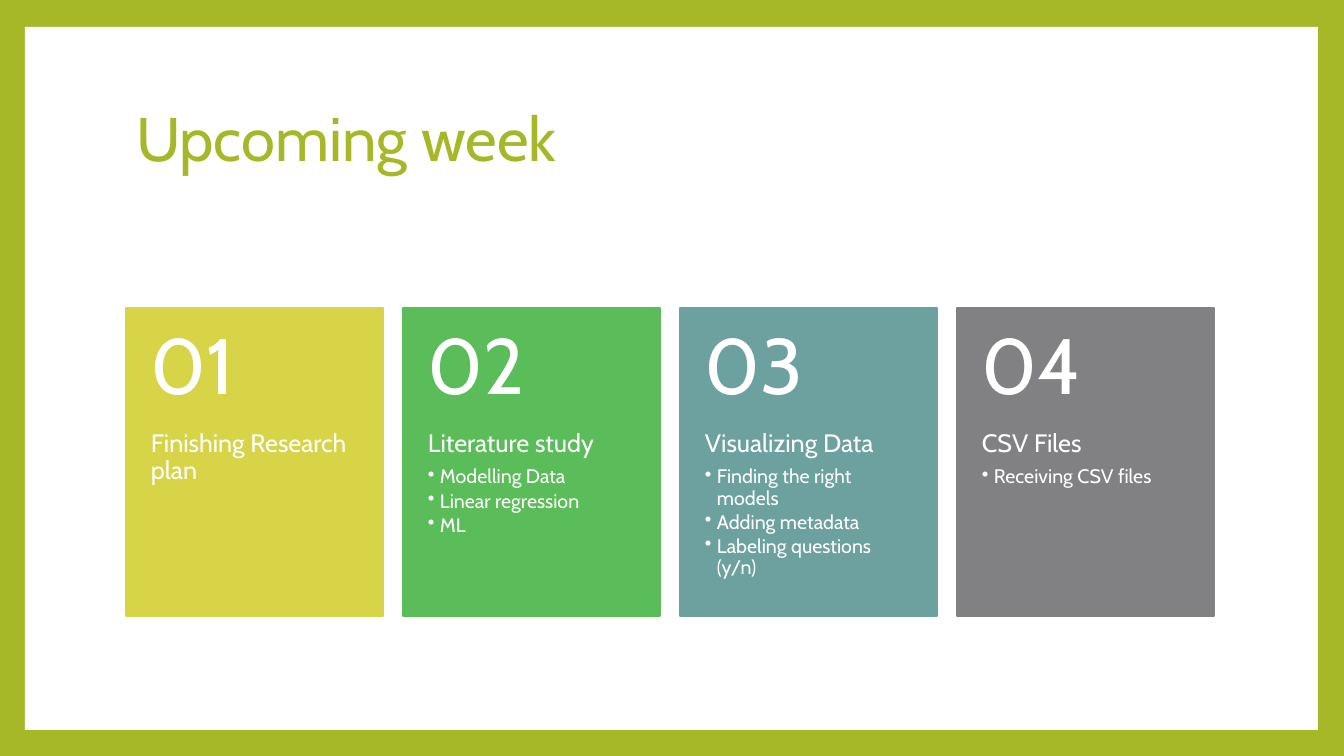
import dataclasses

import lxml.etree
import pptx
import pptx.dml.color
import pptx.enum.shapes
import pptx.enum.text
import pptx.oxml.ns
import pptx.util

EMU_PER_PIXEL = 914400 / 100.8
FONT = "Cabin"
COLORS = {
    "lime": "A6B727",
    "white": "FFFFFF",
    "yellow": "D7D447",
    "green": "5ABD59",
    "teal": "6CA1A0",
    "gray": "818183",
}

# Card grid, in pixels
CARD_LEFT, CARD_TOP = 126, 308
CARD_WIDTH, CARD_PITCH = 257, 277
NUMBER_HEIGHT, BODY_HEIGHT = 123, 185
BULLET_INDENT = 12


@dataclasses.dataclass(frozen=True)
class Card:
    color: str
    heading: str
    bullets: tuple[str, ...] = ()


CARDS = [
    Card("yellow", "Finishing Research plan"),
    Card("green", "Literature study", ("Modelling Data", "Linear regression", "ML")),
    Card("teal", "Visualizing Data",
         ("Finding the right models", "Adding metadata", "Labeling questions (y/n)")),
    Card("gray", "CSV Files", ("Receiving CSV files",)),
]


def px(pixels: int) -> pptx.util.Emu:
    return pptx.util.Emu(round(pixels * EMU_PER_PIXEL))


def rgb(name: str) -> pptx.dml.color.RGBColor:
    return pptx.dml.color.RGBColor.from_string(COLORS[name])


def write_text(paragraph, text: str, *, size: int, color: str = "white",
               after: float = 0.0, bullet: bool = False) -> None:
    """Fill a paragraph; after is the space below as a share of the size."""
    run = paragraph.add_run()
    run.text = text
    run.font.name = FONT
    run.font.size = pptx.util.Pt(size)
    run.font.color.rgb = rgb(color)
    paragraph.alignment = pptx.enum.text.PP_ALIGN.LEFT
    paragraph.line_spacing = 0.9
    paragraph.space_before = pptx.util.Pt(0)
    paragraph.space_after = pptx.util.Pt(size * after)
    if bullet:
        paragraph.level = 1
        properties = paragraph._p.get_or_add_pPr()
        properties.set("marL", str(px(BULLET_INDENT)))
        properties.set("indent", str(-px(BULLET_INDENT)))
        mark = lxml.etree.SubElement(properties, pptx.oxml.ns.qn("a:buChar"))
        mark.set("char", "•")


def add_rectangle(slide, left: int, top: int, width: int, height: int,
                  color: str, outlined: bool = False) -> None:
    shape = slide.shapes.add_shape(
        pptx.enum.shapes.MSO_SHAPE.RECTANGLE, px(left), px(top), px(width), px(height))
    shape.shadow.inherit = False
    shape.fill.solid()
    shape.fill.fore_color.rgb = rgb(color)
    if outlined:
        shape.line.color.rgb = rgb(color)
        shape.line.width = pptx.util.Pt(1.5)
    else:
        shape.line.fill.background()


def add_text_frame(slide, left: int, top: int, height: int,
                   inset_top: int, inset_bottom: int):
    box = slide.shapes.add_textbox(px(left), px(top), px(CARD_WIDTH), px(height))
    frame = box.text_frame
    frame.word_wrap = True
    frame.margin_left = frame.margin_right = px(25)
    frame.margin_top, frame.margin_bottom = px(inset_top), px(inset_bottom)
    return frame


def add_card(slide, index: int, card: Card) -> None:
    left = CARD_LEFT + index * CARD_PITCH
    add_rectangle(slide, left, CARD_TOP, CARD_WIDTH, NUMBER_HEIGHT + BODY_HEIGHT,
                  card.color, outlined=True)

    body = add_text_frame(slide, left, CARD_TOP + NUMBER_HEIGHT, BODY_HEIGHT, 0, 36)
    write_text(body.paragraphs[0], card.heading, size=18, after=0.35)
    for bullet in card.bullets:
        write_text(body.add_paragraph(), bullet, size=14, after=0.15, bullet=True)

    number = add_text_frame(slide, left, CARD_TOP, NUMBER_HEIGHT, 18, 18)
    number.vertical_anchor = pptx.enum.text.MSO_ANCHOR.MIDDLE
    write_text(number.paragraphs[0], f"{index + 1:02d}", size=56, after=0.35)


presentation = pptx.Presentation()
presentation.slide_width, presentation.slide_height = px(1344), px(756)
slide = presentation.slides.add_slide(presentation.slide_layouts[5])

# Lime frame around a white panel
slide.background.fill.solid()
slide.background.fill.fore_color.rgb = rgb("lime")
add_rectangle(slide, 25, 27, 1293, 703, "white")

# Title, brought in front of the panel
title = slide.shapes.title
slide.shapes._spTree.append(title._element)
title.left, title.top, title.width, title.height = px(126), px(67), px(1089), px(149)
title.text_frame.vertical_anchor = pptx.enum.text.MSO_ANCHOR.MIDDLE
write_text(title.text_frame.paragraphs[0], "Upcoming week", size=44, color="lime")

# Numbered cards
for index, card in enumerate(CARDS):
    add_card(slide, index, card)

presentation.save("out.pptx")
